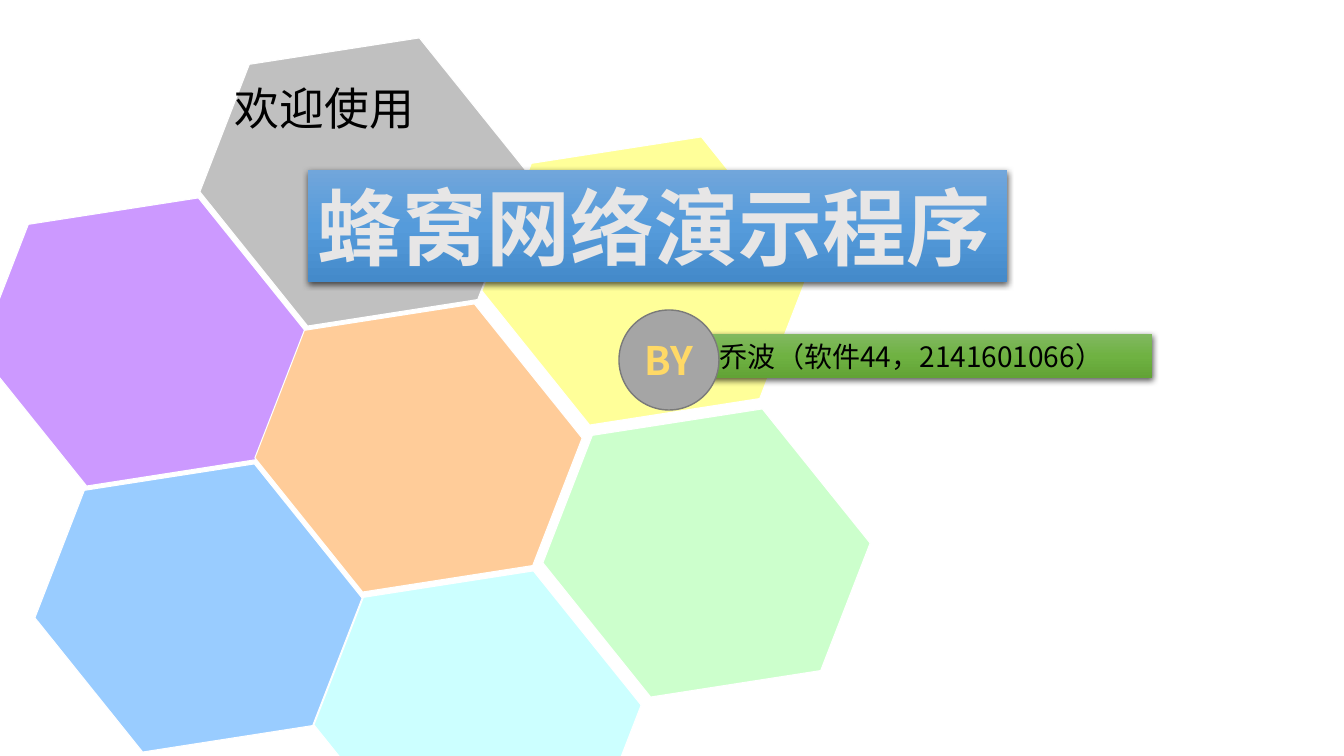
from copy import deepcopy

from lxml import etree
from pptx import Presentation
from pptx.dml.color import RGBColor
from pptx.enum.shapes import MSO_SHAPE
from pptx.enum.text import MSO_ANCHOR, MSO_AUTO_SIZE, PP_ALIGN
from pptx.oxml.ns import qn
from pptx.util import Pt

HEXAGON, RECTANGLE, OVAL = MSO_SHAPE.HEXAGON, MSO_SHAPE.RECTANGLE, MSO_SHAPE.OVAL
MIDDLE, NO_FIT = MSO_ANCHOR.MIDDLE, MSO_AUTO_SIZE.NONE
LEFT, CENTER = PP_ALIGN.LEFT, PP_ALIGN.CENTER

SCALE = 914400 / 100.8
FONT = "Noto Sans CJK SC"
TITLE_ONLY = 5
CELL_WIDTH, CELL_HEIGHT, CELL_TURN = 309, 298, 111.2

COLORS = {
    "white": "FFFFFF", "black": "000000", "title": "E7E6E6",
    "blue": "99CCFF", "yellow": "FFFF99", "silver": "C0C0C0", "purple": "CC99FF",
    "cyan": "CCFFFF", "mint": "CCFFCC", "orange": "FFCC99",
    "badge": "A5A5A5", "badge_line": "7A7A7A", "gold": "FFD966",
    "blue_top": "71A6DB", "blue_middle": "559BDB", "blue_bottom": "448ACA",
    "green_top": "81B861", "green_middle": "6FB242", "green_bottom": "62A336",
}

CELLS = [
    ("blue", 44, 459), ("yellow", 491, 132), ("silver", 209, 33),
    ("purple", -12, 193), ("cyan", 323, 566), ("mint", 552, 404),
    ("orange", 264, 299),
]


def px(length):
    return round(length * SCALE)


def rgb(name):
    return RGBColor.from_string(COLORS[name])


def place(box, left, top, width, height):
    values = {"left": left, "top": top, "width": width, "height": height}
    for name, value in values.items():
        setattr(box, name, px(value))


def add_plain_shape(page, kind, bounds, fill, line, weight):
    box = page.shapes.add_shape(kind, *map(px, bounds))
    box.shadow.inherit = False
    box.fill.solid()
    box.fill.fore_color.rgb = rgb(fill)
    box.line.color.rgb = rgb(line)
    box.line.width = Pt(weight)
    return box


def add_cell(page, color, left, top):
    bounds = (left, top, CELL_WIDTH, CELL_HEIGHT)
    cell = add_plain_shape(page, HEXAGON, bounds, color, "white", 0.75)
    cell.adjustments[0] = 0.289
    cell.rotation = CELL_TURN


def write(box, text, size, color, bold=False, align=LEFT, indent=10):
    frame = box.text_frame
    frame_format = {
        "word_wrap": True, "auto_size": NO_FIT, "vertical_anchor": MIDDLE,
        "margin_left": px(indent), "margin_right": 0,
        "margin_top": 0, "margin_bottom": 0,
    }
    for name, value in frame_format.items():
        setattr(frame, name, value)
    para = frame.paragraphs[0]
    para.alignment = align
    span = para.add_run()
    span.text = text
    span.font.color.rgb = rgb(color)
    for name, value in {"size": Pt(size), "bold": bold, "name": FONT}.items():
        setattr(span.font, name, value)
    properties = span.font._element
    etree.SubElement(properties, qn("a:ea"), typeface=FONT)


def style_banner(box, color):
    box.fill.gradient()
    box.fill.gradient_angle = 270
    stop_list = box.element.spPr.find(".//" + qn("a:gsLst"))
    stop_list.insert(1, deepcopy(stop_list[0]))
    steps = ("top", "middle", "bottom")
    for number, (stop, step) in enumerate(zip(box.fill.gradient_stops, steps)):
        stop.position = number / 2
        stop.color.rgb = rgb(f"{color}_{step}")
    box.line.fill.background()
    box.shadow.inherit = False
    effects = box.element.spPr.find(qn("a:effectLst"))
    shadow = etree.SubElement(
        effects, qn("a:outerShdw"), blurRad=str(Pt(4.5)), dist=str(Pt(1.5)),
        dir="5400000", algn="ctr", rotWithShape="0")
    shade = etree.SubElement(shadow, qn("a:srgbClr"), val=COLORS["black"])
    etree.SubElement(shade, qn("a:alpha"), val="63000")


def add_title(page, text):
    title = page.shapes.title
    title.element.getparent().append(title.element)
    place(title, 308, 170, 699, 112)
    style_banner(title, "blue")
    write(title, text, 60, "title", bold=True)


def add_welcome(page, text):
    box = page.shapes.add_textbox(*map(px, (225, 76, 202, 64)))
    write(box, text, 32, "black")


def add_author(page, text):
    box = page.shapes.add_shape(RECTANGLE, *map(px, (685, 334, 467, 44)))
    style_banner(box, "green")
    write(box, text, 20, "black", indent=35)


def add_badge(page, text):
    bounds = (619, 310, 100, 100)
    badge = add_plain_shape(page, OVAL, bounds, "badge", "badge_line", 1)
    write(badge, text, 28, "gold", bold=True, align=CENTER, indent=0)


def main():
    deck = Presentation()
    deck.slide_width, deck.slide_height = px(1344), px(756)
    page = deck.slides.add_slide(deck.slide_layouts[TITLE_ONLY])
    for color, left, top in CELLS:
        add_cell(page, color, left, top)
    add_title(page, "蜂窝网络演示程序")
    add_welcome(page, "欢迎使用")
    add_author(page, "乔波（软件44，2141601066）")
    add_badge(page, "BY")
    deck.save("out.pptx")


if __name__ == "__main__":
    main()
